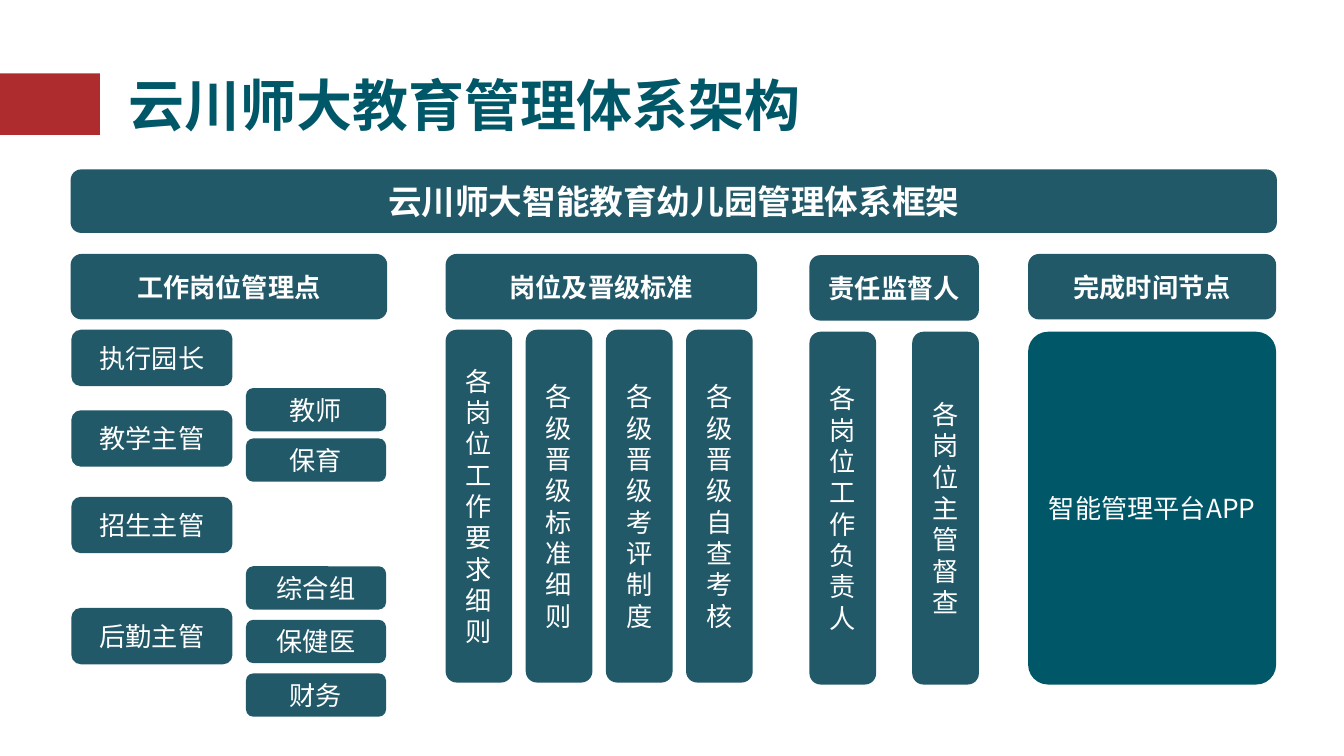
from dataclasses import dataclass
from typing import Optional

import lxml.etree
import pptx
import pptx.dml.color
import pptx.enum.shapes
import pptx.enum.text
import pptx.oxml.ns
import pptx.shapes.autoshape
import pptx.text.text
import pptx.util

Cm = pptx.util.Cm
Pt = pptx.util.Pt
Kind = pptx.enum.shapes.MSO_SHAPE
Align = pptx.enum.text.PP_ALIGN


@dataclass(frozen=True)
class Theme:
    font: str = "Noto Sans CJK SC"
    teal: str = "005768"
    slate: str = "215968"
    red: str = "AE2C2E"
    white: str = "FFFFFF"
    title: float = 40
    banner: float = 24
    body: float = 18.7
    stacked_line: float = 22.4


@dataclass(frozen=True)
class Box:
    """A filled block, measured in centimetres."""
    text: str
    left: float
    top: float
    width: float
    height: float
    bold: bool = False
    size: float = Theme.body
    fill: str = Theme.slate
    kind: Kind = Kind.FLOWCHART_ALTERNATE_PROCESS
    line_height: Optional[float] = None
    corner: Optional[float] = None


theme = Theme()
deck = pptx.Presentation()
deck.slide_width, deck.slide_height = Cm(33.87), Cm(19.05)
slide = deck.slides.add_slide(deck.slide_layouts[6])


def rgb(value: str) -> pptx.dml.color.RGBColor:
    return pptx.dml.color.RGBColor.from_string(value)


def write(frame: pptx.text.text.TextFrame, text: str, size: float, color: str,
          bold: bool, align: Align, line_height: Optional[float] = None) -> None:
    frame.word_wrap = True
    frame.vertical_anchor = pptx.enum.text.MSO_ANCHOR.MIDDLE
    paragraph = frame.paragraphs[0]
    paragraph.alignment = align
    if line_height:
        paragraph.line_spacing = Pt(line_height)
    run = paragraph.add_run()
    run.text = text
    run.font.name, run.font.size, run.font.bold = theme.font, Pt(size), bold
    run.font.color.rgb = rgb(color)
    # East Asian characters take their font from a:ea
    east_asian = lxml.etree.Element(pptx.oxml.ns.qn("a:ea"), typeface=theme.font)
    run.font._element.find(pptx.oxml.ns.qn("a:latin")).addnext(east_asian)


def draw(box: Box) -> pptx.shapes.autoshape.Shape:
    shape = slide.shapes.add_shape(box.kind, Cm(box.left), Cm(box.top),
                                   Cm(box.width), Cm(box.height))
    shape.shadow.inherit = False
    shape.fill.solid()
    shape.fill.fore_color.rgb = rgb(box.fill)
    shape.line.fill.background()
    if box.corner is not None:
        shape.adjustments[0] = box.corner
    if box.text:
        write(shape.text_frame, box.text, box.size, theme.white, box.bold,
              Align.CENTER, box.line_height)
    return shape


def stacked_columns(texts: list[str], left: float, top: float, step: float) -> list[Box]:
    """Narrow columns whose text wraps to one character a line."""
    return [Box(text, left + i * step, top, 1.68, 8.89, line_height=theme.stacked_line)
            for i, text in enumerate(texts)]


# Title with its red marker
draw(Box("", 0, 1.85, 2.52, 1.55, fill=theme.red, kind=Kind.RECTANGLE))
title = slide.shapes.add_textbox(Cm(3), Cm(1.04), Cm(18.26), Cm(3.18))
write(title.text_frame, "云川师大教育管理体系架构", theme.title, theme.teal, True, Align.LEFT)

# Banner and the four section headings
LEFT, STANDARDS, SUPERVISORS, SCHEDULE = 1.78, 11.23, 20.4, 25.91
draw(Box("云川师大智能教育幼儿园管理体系框架", LEFT, 4.27, 30.4, 1.6, True, theme.banner))
for heading, left, top, width in [
    ("工作岗位管理点", LEFT, 6.4, 7.98),
    ("岗位及晋级标准", STANDARDS, 6.4, 7.85),
    ("责任监督人", SUPERVISORS, 6.43, 4.27),
    ("完成时间节点", SCHEDULE, 6.4, 6.25),
]:
    draw(Box(heading, left, top, width, 1.65, True))

# Posts and the teams under them
for post, top in [("执行园长", 8.31), ("教学主管", 10.34),
                  ("招生主管", 12.52), ("后勤主管", 15.32)]:
    draw(Box(post, 1.8, top, 4.06, 1.42))
for teams, top, step in [(["教师", "保育"], 9.78, 1.27),
                         (["综合组", "保健医", "财务"], 14.27, 1.35)]:
    for i, team in enumerate(teams):
        draw(Box(team, 6.2, top + i * step, 3.53, 1.09))

# Standards and supervisors
standards = ["各岗位工作要求细则", "各级晋级标准细则", "各级晋级考评制度", "各级晋级自查考核"]
supervisors = ["各岗位工作负责人", "各岗位主管督查"]
for column in (stacked_columns(standards, STANDARDS, 8.31, 2.02)
               + stacked_columns(supervisors, SUPERVISORS, 8.36, 2.59)):
    draw(column)

# Schedule platform
draw(Box("智能管理平台APP", SCHEDULE, 8.36, 6.25, 8.89, fill=theme.teal,
         kind=Kind.ROUNDED_RECTANGLE, corner=0.08))

deck.save("out.pptx")
